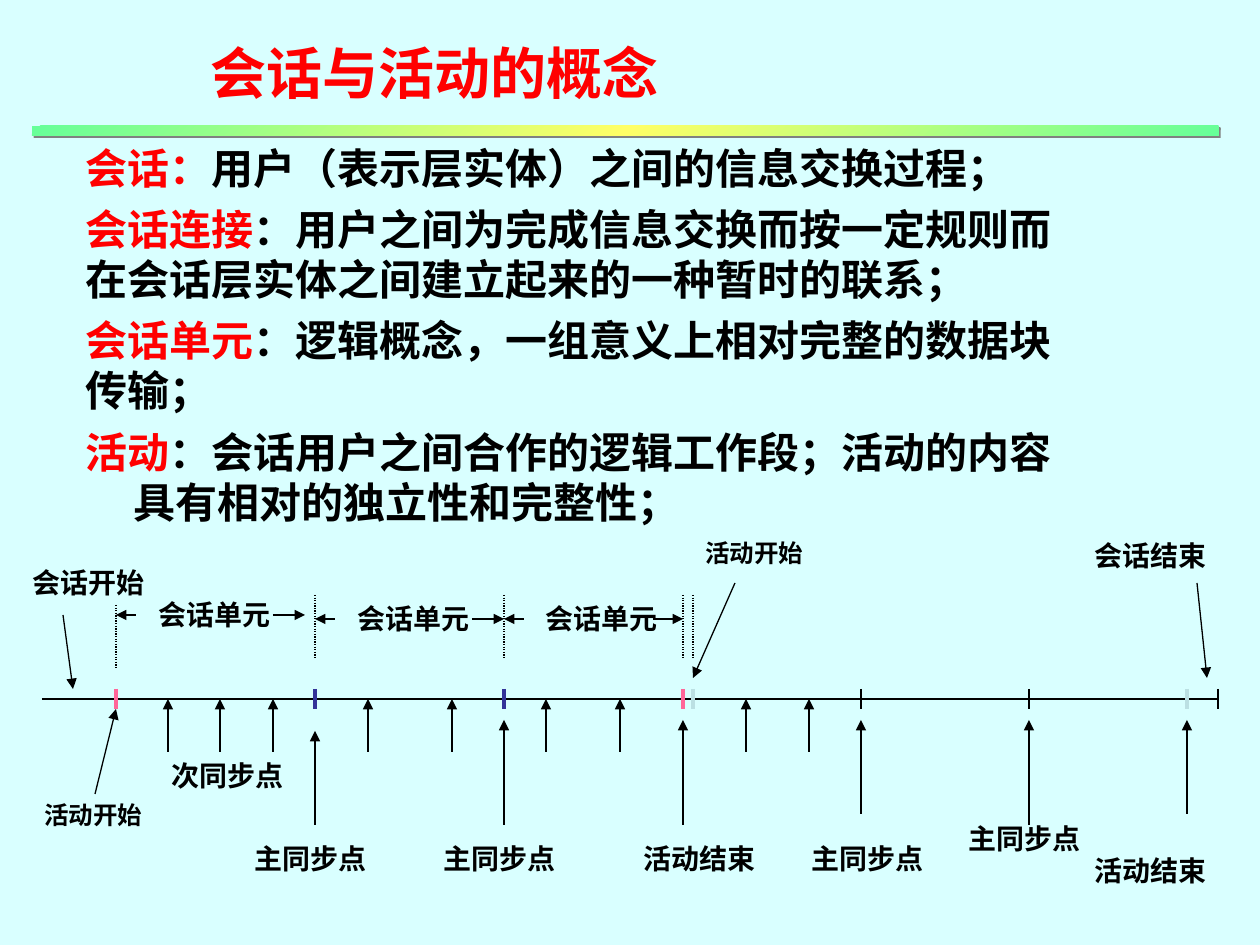
from dataclasses import dataclass

from lxml.etree import SubElement
from pptx import Presentation
from pptx.dml.color import RGBColor
from pptx.enum.dml import MSO_LINE_DASH_STYLE as Dash
from pptx.enum.shapes import MSO_CONNECTOR as Connector, MSO_SHAPE as Shape
from pptx.enum.text import MSO_AUTO_SIZE as AutoSize
from pptx.oxml.ns import qn
from pptx.util import Emu, Pt

EMU_PER_INCH, PX_PER_INCH = 914400, 126


@dataclass(frozen=True)
class Theme:
    background: str = "D9FFFF"
    ink: str = "000000"
    accent: str = "FF0000"
    activity_mark: str = "FF6699"
    sync_mark: str = "333399"
    pale_mark: str = "BBE0E3"
    bar_edge: str = "66FF99"
    bar_middle: str = "FFFF66"
    shadow: str = "808080"
    heading_font: str = "Noto Sans CJK SC"
    label_font: str = "Times New Roman"
    title: int = 32
    body: int = 24
    label: int = 16
    small_label: int = 14
    thin: float = 0.75
    thick: float = 2.25


THEME = Theme()


def px(length):
    return Emu(round(length * EMU_PER_INCH / PX_PER_INCH))


def rgb(value):
    return RGBColor.from_string(value)


def add_text(page, box, paragraphs, size, font, wrap=True, gap=0, hanging=0):
    """Place paragraphs, each a list of (text, colour) spans."""
    shape = page.shapes.add_textbox(*map(px, box))
    frame = shape.text_frame
    frame.word_wrap = wrap
    frame.auto_size = AutoSize.NONE
    for index, spans in enumerate(paragraphs):
        para = frame.paragraphs[0] if index == 0 else frame.add_paragraph()
        if index:
            para.space_before = Pt(gap)
        para.font.size = Pt(size)
        para.font.bold = True
        para.font.name = font
        properties = para._p.get_or_add_pPr()
        SubElement(properties.find(qn("a:defRPr")), qn("a:ea"),
                   typeface=THEME.heading_font)
        if hanging:
            properties.set("marL", str(px(hanging)))
            properties.set("indent", str(-px(hanging)))
        for text, color in spans:
            span = para.add_run()
            span.text = text
            span.font.color.rgb = rgb(color)


def add_line(page, start, end, color=THEME.ink, width=THEME.thin,
             arrow=False, dash=None):
    line = page.shapes.add_connector(
        Connector.STRAIGHT, *map(px, (*start, *end)))
    line.line.color.rgb = rgb(color)
    line.line.width = Pt(width)
    if dash:
        line.line.dash_style = dash
    properties = line._element.spPr
    if arrow:
        SubElement(properties.find(qn("a:ln")), qn("a:tailEnd"), type="triangle")
    SubElement(properties, qn("a:effectLst"))


def add_title(page, box):
    add_text(page, box, [[("会话与活动的概念", THEME.accent)]],
             THEME.title, THEME.heading_font, wrap=False)


def add_gradient_bar(page, box):
    bar = page.shapes.add_shape(Shape.RECTANGLE, *map(px, box))
    bar.line.fill.background()
    bar.fill.gradient()
    gradient = bar._element.spPr.find(qn("a:gradFill"))
    stops = gradient.find(qn("a:gsLst"))
    for stop in list(stops):
        stops.remove(stop)
    colors = (THEME.bar_edge, THEME.bar_middle, THEME.bar_edge)
    for index, color in enumerate(colors):
        stop = SubElement(stops, qn("a:gs"), pos=str(index * 50000))
        SubElement(stop, qn("a:srgbClr"), val=color)
    direction = gradient.find(qn("a:lin"))
    direction.set("ang", "2700000")
    direction.set("scaled", "1")
    bar.shadow.inherit = False
    shadow = SubElement(bar._element.spPr.find(qn("a:effectLst")),
                        qn("a:outerShdw"), dist=str(Pt(1.4)), dir="2700000",
                        algn="ctr", rotWithShape="0")
    SubElement(shadow, qn("a:srgbClr"), val=THEME.shadow)


def add_definitions(page, box, entries, hanging=0):
    paragraphs = [[(term, THEME.accent), (meaning, THEME.ink)]
                  for term, meaning in entries]
    add_text(page, box, paragraphs, THEME.body, THEME.heading_font,
             gap=6, hanging=hanging)


def add_timeline(page, box):
    left, top, width, _ = box
    axis, tick = 167, 10

    def line(x1, y1, x2, y2, **style):
        add_line(page, (left + x1, top + y1), (left + x2, top + y2), **style)

    def label(text, x, y, size=THEME.label):
        label_box = (left + x, top + y, 136, 47)
        add_text(page, label_box, [[(text, THEME.ink)]], size,
                 THEME.label_font, wrap=False)

    line(22, axis, width, axis)
    marks = {96: THEME.activity_mark, 295: THEME.sync_mark,
             484: THEME.sync_mark, 663: THEME.activity_mark,
             673: THEME.pale_mark, 841: THEME.ink, 1009: THEME.ink,
             1167: THEME.pale_mark, width: THEME.ink}
    for x, color in marks.items():
        weight = THEME.thin if color == THEME.ink else THEME.thick
        line(x, axis - tick, x, axis + tick, color=color, width=weight)

    for x in (148, 200, 253, 348, 432, 526, 600, 726, 789):
        line(x, 220, x, axis, arrow=True)
    for x, tail, tip in ((295, 293, 199), (484, 293, 188), (663, 293, 188),
                         (841, 282, 188), (1009, 293, 188), (1167, 282, 188)):
        line(x, tail, x, tip, arrow=True)
    for pointer in ((43, 83, 53, 157), (75, 262, 96, 177),
                    (715, 51, 673, 146), (1177, 51, 1187, 146)):
        line(*pointer, arrow=True)

    for x, y in ((96, 73), (295, 63), (484, 63), (663, 63), (673, 63)):
        line(x, y, x, y + 63, dash=Dash.ROUND_DOT)
    for start, end, y, label_x, tail in ((96, 285, 83, 126, 253),
                                         (295, 484, 87, 325, 452),
                                         (484, 663, 87, 513, 633)):
        label("会话单元", label_x, y - 24)
        line(start + 20, y, start, y, arrow=True)
        line(tail, y, end, y, arrow=True)

    for x, y in ((222, 303), (411, 303), (779, 303), (936, 283)):
        label("主同步点", x, y)
    for x, y in ((611, 303), (1062, 315)):
        label("活动结束", x, y)
    for x, y in ((12, 262), (673, 0)):
        label("活动开始", x, y, THEME.small_label)
    label("会话开始", 0, 27)
    label("会话结束", 1062, 0)
    label("次同步点", 139, 220)


def main():
    deck = Presentation()
    deck.slide_width, deck.slide_height = px(1260), px(945)
    page = deck.slides.add_slide(deck.slide_layouts[6])
    page.background.fill.solid()
    page.background.fill.fore_color.rgb = rgb(THEME.background)

    add_title(page, (198, 32, 474, 81))
    add_gradient_bar(page, (32, 126, 1187, 10))
    add_definitions(page, (73, 136, 999, 286), [
        ("会话：", "用户（表示层实体）之间的信息交换过程；"),
        ("会话连接", "：用户之间为完成信息交换而按一定规则而"
                 "在会话层实体之间建立起来的一种暂时的联系；"),
        ("会话单元", "：逻辑概念，一组意义上相对完整的数据块传输；"),
    ])
    add_definitions(page, (73, 420, 998, 147), [
        ("活动", "：会话用户之间合作的逻辑工作段；活动的内容"
               "具有相对的独立性和完整性；"),
    ], hanging=48)
    add_timeline(page, (20, 532, 1198, 362))
    deck.save("out.pptx")


if __name__ == "__main__":
    main()
